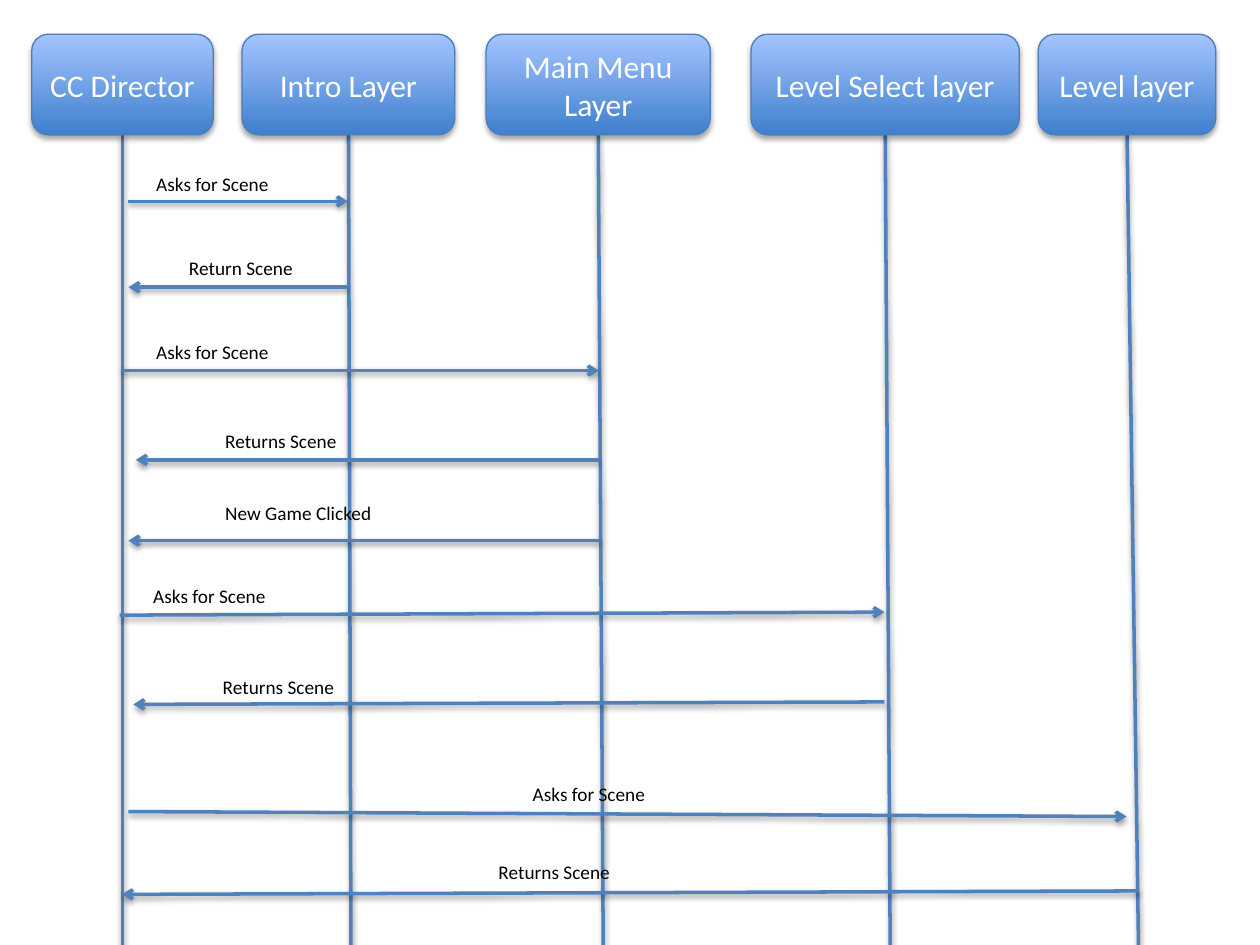
from dataclasses import dataclass

from lxml.etree import SubElement
from pptx import Presentation
from pptx.dml.color import RGBColor
from pptx.enum.shapes import MSO_CONNECTOR, MSO_SHAPE
from pptx.enum.text import MSO_ANCHOR, MSO_AUTO_SIZE, PP_ALIGN
from pptx.oxml.ns import qn
from pptx.util import Cm, Pt


@dataclass(frozen=True)
class Theme:
    font: str = "Calibri"
    head_size: int = 18
    label_size: int = 11
    head_text: str = "FFFFFF"
    label_text: str = "000000"
    gradient: tuple = ("3F80CE", "A4C4FF")
    border: str = "4B7EBC"
    line: str = "4F81BD"
    shadow: str = "000000"
    border_width: float = 0.75
    line_width: float = 2


@dataclass(frozen=True)
class Box:
    left: float
    top: float
    width: float
    height: float

    @property
    def center(self):
        return self.left + self.width / 2

    @property
    def bottom(self):
        return self.top + self.height

    def lengths(self):
        return [Cm(n) for n in (self.left, self.top, self.width, self.height)]


THEME = Theme()
PAGE = Box(0, 0, 25.4, 19.05)
HEAD_TOP, HEAD_HEIGHT = 0.69, 2.03
LABEL_HEIGHT = 0.74

PARTICIPANTS = [
    ("CC Director", 0.64, 3.66, 0),
    ("Intro Layer", 4.88, 4.29, 0.05),
    ("Main Menu Layer", 9.8, 4.52, 0.1),
    ("Level Select layer", 15.14, 5.41, 0.1),
    ("Level layer", 20.93, 3.58, 0.23),
]

MESSAGES = [
    ("Asks for Scene", (2.59, 4.06), (7.01, 4.06), (2.9, 3.35), 3.12),
    ("Return Scene", (7.01, 5.79), (2.59, 5.79), (3.56, 5.05), 3),
    ("Asks for Scene", (2.46, 7.47), (12.07, 7.47), (2.9, 6.73), 3.18),
    ("Returns Scene", (12.07, 9.27), (2.74, 9.27), (4.29, 8.53), 4.17),
    ("New Game Clicked", (12.07, 10.9), (2.59, 10.9), (4.29, 9.98), 4.17),
    ("Asks for Scene", (2.41, 12.4), (17.83, 12.34), (2.84, 11.66), 3.18),
    ("Returns Scene", (17.83, 14.15), (2.69, 14.2), (4.24, 13.49), 4.17),
    ("Asks for Scene", (2.59, 16.36), (22.71, 16.46), (10.49, 15.65), 4.98),
    ("Returns Scene", (22.94, 17.96), (2.46, 18.03), (9.8, 17.22), 4.17),
]


def color(value):
    return RGBColor.from_string(value)


def add_shadow(item, distance, opacity):
    effects = SubElement(item._element.spPr, qn("a:effectLst"))
    shadow = SubElement(
        effects, qn("a:outerShdw"), blurRad=str(Pt(3.1)),
        dist=str(Pt(distance)), dir="5400000", rotWithShape="0",
    )
    tint = SubElement(shadow, qn("a:srgbClr"), val=THEME.shadow)
    SubElement(tint, qn("a:alpha"), val=str(opacity * 1000))


def write(frame, text, size, text_color, alignment):
    frame.word_wrap = True
    para = frame.paragraphs[0]
    para.text = text
    para.alignment = alignment
    para.font.name = THEME.font
    para.font.size = Pt(size)
    para.font.color.rgb = color(text_color)


def add_line(page, start, end, arrow=False):
    points = [Cm(n) for n in (*start, *end)]
    line = page.shapes.add_connector(MSO_CONNECTOR.STRAIGHT, *points)
    line.line.color.rgb = color(THEME.line)
    line.line.width = Pt(THEME.line_width)
    if arrow:
        outline = line._element.spPr.find(qn("a:ln"))
        SubElement(outline, qn("a:tailEnd"), type="arrow")
    add_shadow(line, 1.6, 38)


def add_participant(page, box, name, drift):
    add_line(page, (box.center, box.bottom), (box.center + drift, PAGE.bottom))
    head = page.shapes.add_shape(MSO_SHAPE.ROUNDED_RECTANGLE, *box.lengths())
    head.fill.gradient()
    head.fill.gradient_angle = 90
    for stop, shade in zip(head.fill.gradient_stops, THEME.gradient):
        stop.color.rgb = color(shade)
    head.line.color.rgb = color(THEME.border)
    head.line.width = Pt(THEME.border_width)
    add_shadow(head, 1.8, 35)
    head.text_frame.vertical_anchor = MSO_ANCHOR.MIDDLE
    write(head.text_frame, name, THEME.head_size, THEME.head_text, PP_ALIGN.CENTER)


def add_message(page, box, text, start, end):
    add_line(page, start, end, arrow=True)
    label = page.shapes.add_textbox(*box.lengths())
    write(label.text_frame, text, THEME.label_size, THEME.label_text, PP_ALIGN.LEFT)
    label.text_frame.auto_size = MSO_AUTO_SIZE.SHAPE_TO_FIT_TEXT


def main():
    deck = Presentation()
    deck.slide_width, deck.slide_height = Cm(PAGE.width), Cm(PAGE.height)
    page = deck.slides.add_slide(deck.slide_layouts.get_by_name("Blank"))
    for name, left, width, drift in PARTICIPANTS:
        add_participant(page, Box(left, HEAD_TOP, width, HEAD_HEIGHT), name, drift)
    for text, start, end, corner, width in MESSAGES:
        add_message(page, Box(*corner, width, LABEL_HEIGHT), text, start, end)
    deck.save("out.pptx")


if __name__ == "__main__":
    main()
